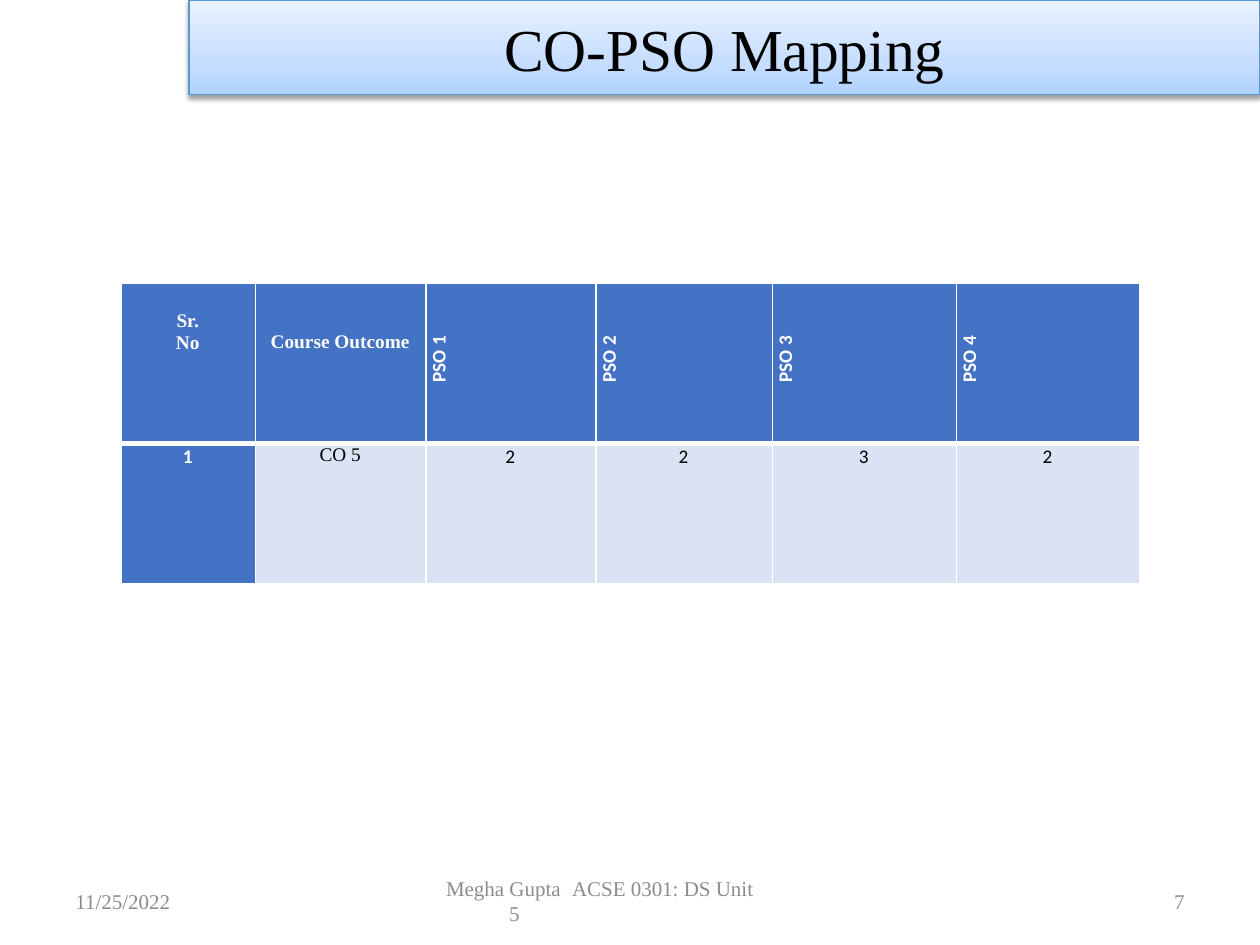
from pptx import Presentation
from pptx.dml.color import RGBColor
from pptx.enum.shapes import MSO_SHAPE
from pptx.enum.text import MSO_ANCHOR, PP_ALIGN
from pptx.oxml import parse_xml
from pptx.oxml.ns import nsdecls
from pptx.util import Inches, Pt

THEME = {
    "serif": "Times New Roman", "sans": "Calibri",
    "head": "4472C4", "body": "DAE3F3", "rule": "FFFFFF",
    "black": "000000", "grey": "8C8C8C", "edge": "5698D3",
    "banner": [(0, "B0D2FF"), (35, "C7DEFF"), (100, "EAF2FF")],
    "title_pt": 34, "table_pt": 11, "footer_pt": 12,
}

TITLE = "CO-PSO Mapping"
HEADERS = ["Sr.\nNo", "Course Outcome", "PSO 1", "PSO 2", "PSO 3", "PSO 4"]
OUTCOMES = [["1", "CO 5", "2", "2", "3", "2"]]
COL_WIDTHS = [1.07, 1.35, 1.35, 1.4, 1.46, 1.46]
ROW_HEIGHTS = [1.27, 1.11]
HEADER_DROP = [0.2, 0.37]  # space above the horizontal headings
FOOTER_TABS = [0.83, 1.44]
FOOTERS = [  # left, width, text, alignment
    (0.5, 2.33, "11/25/2022", PP_ALIGN.LEFT),
    (3.42, 3.17, "Megha Gupta\tACSE 0301: DS Unit\v\t5", PP_ALIGN.LEFT),
    (7.17, 2.33, "7", PP_ALIGN.RIGHT),
]


def write(tf, text, align, size, font, color, bold=False, **para):
    """Fill a text frame, one paragraph per line of text."""
    tf.text = text
    for p in tf.paragraphs:
        p.alignment = align
        for name, value in para.items():
            setattr(p, name, value)
        for r in p.runs:
            r.font.color.rgb = RGBColor.from_string(color)
            for name, value in {"size": Pt(size), "name": font, "bold": bold}.items():
                setattr(r.font, name, value)


def add_banner(slide):
    sp = slide.shapes.add_shape(MSO_SHAPE.RECTANGLE, Inches(1.5), 0, Inches(8.5), Inches(0.75))
    stops = "".join(f'<a:gs pos="{pos * 1000}"><a:srgbClr val="{color}"/></a:gs>'
                    for pos, color in THEME["banner"])
    sp_pr = sp._element.spPr
    sp_pr.append(parse_xml(f'<a:gradFill {nsdecls("a")}><a:gsLst>{stops}</a:gsLst>'
                           '<a:lin ang="16200000" scaled="0"/></a:gradFill>'))
    sp.line.color.rgb = RGBColor.from_string(THEME["edge"])
    sp.line.width = Pt(0.75)
    sp_pr.append(parse_xml(
        f'<a:effectLst {nsdecls("a")}><a:outerShdw blurRad="{Pt(3.1)}" dist="{Pt(1.6)}" '
        f'dir="5400000" rotWithShape="0"><a:srgbClr val="{THEME["black"]}">'
        '<a:alpha val="38000"/></a:srgbClr></a:outerShdw></a:effectLst>'))
    sp.text_frame.vertical_anchor = MSO_ANCHOR.MIDDLE
    write(sp.text_frame, TITLE, PP_ALIGN.CENTER, THEME["title_pt"], THEME["serif"], THEME["black"])


def add_borders(cell, widths):
    for side, width in widths.items():
        cell._tc.get_or_add_tcPr().append(parse_xml(
            f'<a:ln{side} {nsdecls("a")} w="{Pt(width)}"><a:solidFill>'
            f'<a:srgbClr val="{THEME["rule"]}"/></a:solidFill></a:ln{side}>'))


def add_mapping_table(slide):
    rows = [HEADERS] + OUTCOMES
    table = slide.shapes.add_table(len(rows), len(HEADERS), Inches(0.96), Inches(2.25),
                                   Inches(sum(COL_WIDTHS)), Inches(sum(ROW_HEIGHTS))).table
    table.first_row = table.horz_banding = False
    for column, width in zip(table.columns, COL_WIDTHS):
        column.width = Inches(width)
    for i, (row, height) in enumerate(zip(rows, ROW_HEIGHTS)):
        table.rows[i].height = Inches(height)
        for j, text in enumerate(row):
            cell = table.cell(i, j)
            header, strong = i == 0, i == 0 or j == 0
            drop = HEADER_DROP[j] if header and j < len(HEADER_DROP) else 0
            margins = {"left": 0.08, "top": drop, "right": 0.09, "bottom": 0}
            for side, margin in margins.items():
                setattr(cell, f"margin_{side}", Inches(margin))
            add_borders(cell, {"L": 1, "R": 1, "T": 1 if header else 3, "B": 3 if header else 1})
            cell.fill.solid()
            cell.fill.fore_color.rgb = RGBColor.from_string(THEME["head" if strong else "body"])
            serif = j == 1 or (header and j == 0)
            write(cell.text_frame, text, PP_ALIGN.CENTER, THEME["table_pt"],
                  THEME["serif" if serif else "sans"],
                  THEME["rule" if strong else "black"], strong, line_spacing=1.06)
            if header and j > 1:
                cell._tc.get_or_add_tcPr().set("vert", "vert270")
                p_pr = cell.text_frame.paragraphs[0]._p.get_or_add_pPr()
                p_pr.set("marL", str(Inches(0.08)))


def add_footers(slide):
    for left, width, text, align in FOOTERS:
        box = slide.shapes.add_textbox(Inches(left), Inches(6.95), Inches(width), Inches(0.4))
        tf = box.text_frame
        tf.word_wrap = True
        tf.vertical_anchor = MSO_ANCHOR.MIDDLE
        if "\t" in text:
            tf.margin_left = Inches(0.12)
            stops = "".join(f'<a:tab pos="{Inches(pos)}" algn="l"/>' for pos in FOOTER_TABS)
            tf.paragraphs[0]._p.get_or_add_pPr().append(
                parse_xml(f'<a:tabLst {nsdecls("a")}>{stops}</a:tabLst>'))
        write(tf, text, align, THEME["footer_pt"], THEME["serif"], THEME["grey"])


def main():
    prs = Presentation()
    prs.slide_width, prs.slide_height = Inches(10), Inches(7.5)
    slide = prs.slides.add_slide(prs.slide_layouts[6])
    add_mapping_table(slide)
    add_banner(slide)
    add_footers(slide)
    prs.save("out.pptx")


if __name__ == "__main__":
    main()
